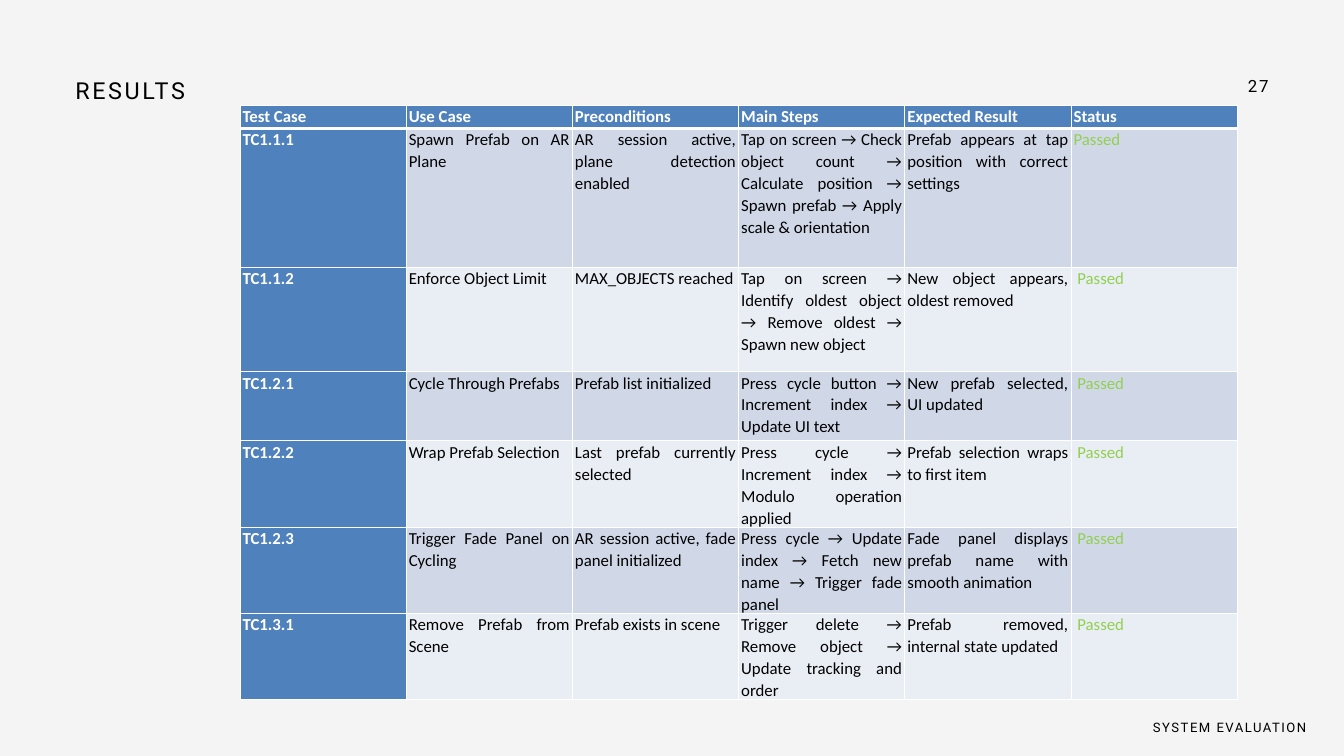
from dataclasses import dataclass

from lxml.etree import SubElement
from pptx import Presentation
from pptx.dml.color import RGBColor
from pptx.enum.text import PP_ALIGN
from pptx.oxml.ns import qn
from pptx.util import Inches, Pt


@dataclass(frozen=True)
class Theme:
    background: str = "F4F4F4"
    ink: str = "000000"
    white: str = "FFFFFF"
    accent: str = "4F81BD"
    bands: tuple = ("D0D8E8", "E9EDF4")
    passed: str = "92D050"
    label_font: str = "Roboto"
    table_font: str = "Calibri"
    title_size: int = 25
    body_size: int = 18
    footer_size: int = 14


THEME = Theme()
HEADINGS = ("Test Case", "Use Case", "Preconditions", "Main Steps", "Expected Result", "Status")
TEST_CASES = (
    ("TC1.1.1", "Spawn Prefab on AR Plane", "AR session active, plane detection enabled",
     "Tap on screen → Check object count → Calculate position → Spawn prefab → Apply scale & orientation",
     "Prefab appears at tap position with correct settings", "Passed"),
    ("TC1.1.2", "Enforce Object Limit", "MAX_OBJECTS reached",
     "Tap on screen → Identify oldest object → Remove oldest → Spawn new object",
     "New object appears, oldest removed", " Passed"),
    ("TC1.2.1", "Cycle Through Prefabs", "Prefab list initialized",
     "Press cycle button → Increment index → Update UI text",
     "New prefab selected, UI updated", " Passed"),
    ("TC1.2.2", "Wrap Prefab Selection", "Last prefab currently selected",
     "Press cycle → Increment index → Modulo operation applied",
     "Prefab selection wraps to first item", " Passed"),
    ("TC1.2.3", "Trigger Fade Panel on Cycling", "AR session active, fade panel initialized",
     "Press cycle → Update index → Fetch new name → Trigger fade panel",
     "Fade panel displays prefab name with smooth animation", " Passed"),
    ("TC1.3.1", "Remove Prefab from Scene", "Prefab exists in scene",
     "Trigger delete → Remove object → Update tracking and order",
     "Prefab removed, internal state updated", " Passed"),
)
ROW_HEIGHTS = (0.34, 2.07, 1.55, 1.03, 1.21, 1.21, 1.21)


def style_font(font, name, size, color, bold=False):
    font.name = name
    font.size = Pt(size)
    font.bold = bold
    font.color.rgb = RGBColor.from_string(color)


def add_label(page, box, text, size, tracking, align=PP_ALIGN.LEFT):
    frame = page.shapes.add_textbox(*map(Inches, box)).text_frame
    frame.word_wrap = True
    frame.margin_left = frame.margin_top = frame.margin_right = frame.margin_bottom = 0
    frame.text = text
    para = frame.paragraphs[0]
    para.alignment = align
    para.line_spacing = Pt(size * 1.4)
    span = para.runs[0]
    style_font(span.font, THEME.label_font, size, THEME.ink)
    span.font._element.set("spc", str(round(tracking * 100)))


def set_borders(cell, top, bottom):
    properties = cell._tc.get_or_add_tcPr()
    for side, width in (("L", 1), ("R", 1), ("T", top), ("B", bottom)):
        line = SubElement(properties, qn(f"a:ln{side}"), w=str(Pt(width)))
        fill = SubElement(line, qn("a:solidFill"))
        SubElement(fill, qn("a:srgbClr"), val=THEME.white)


def cell_colors(row, column):
    if row == 0 or column == 0:
        return THEME.accent, THEME.white
    text_color = THEME.passed if column == len(HEADINGS) - 1 else THEME.ink
    return THEME.bands[(row - 1) % 2], text_color


def fill_cell(cell, row, column, text):
    fill_color, text_color = cell_colors(row, column)
    set_borders(cell, 3 if row == 1 else 1, 3 if row == 0 else 1)
    cell.fill.solid()
    cell.fill.fore_color.rgb = RGBColor.from_string(fill_color)
    cell.margin_left = cell.margin_right = Inches(0.04)
    cell.margin_top = cell.margin_bottom = 0
    cell.text = text
    para = cell.text_frame.paragraphs[0]
    para.alignment = PP_ALIGN.JUSTIFY
    para.line_spacing = 1.07
    style_font(para.runs[0].font, THEME.table_font, THEME.body_size, text_color,
               row == 0 or column == 0)


def add_results_table(page, left, top, width):
    records = (HEADINGS, *TEST_CASES)
    table = page.shapes.add_table(
        len(records), len(HEADINGS), Inches(left), Inches(top),
        Inches(width), Inches(sum(ROW_HEIGHTS))).table
    table.first_col = True
    for column in table.columns:
        column.width = Inches(width / len(HEADINGS))
    for row, (height, record) in enumerate(zip(ROW_HEIGHTS, records)):
        table.rows[row].height = Inches(height)
        for column, text in enumerate(record):
            fill_cell(table.cell(row, column), row, column, text)


def build_results_page(deck):
    page = deck.slides.add_slide(deck.slide_layouts[6])
    page.background.fill.solid()
    page.background.fill.fore_color.rgb = RGBColor.from_string(THEME.background)
    add_label(page, (17.68, 1.08, 1.2, 0.33), "27", THEME.body_size, 2.1, PP_ALIGN.RIGHT)
    add_label(page, (1.12, 1.07, 8.88, 0.46), "RESULTS", THEME.title_size, 2.9)
    add_label(page, (14.73, 10.67, 4.71, 0.26), "SYSTEM EVALUATION",
              THEME.footer_size, 1.6, PP_ALIGN.RIGHT)
    add_results_table(page, 3.57, 1.57, 14.84)


def main():
    deck = Presentation()
    deck.slide_width = Inches(20)
    deck.slide_height = Inches(11.25)
    build_results_page(deck)
    deck.save("out.pptx")


if __name__ == "__main__":
    main()
